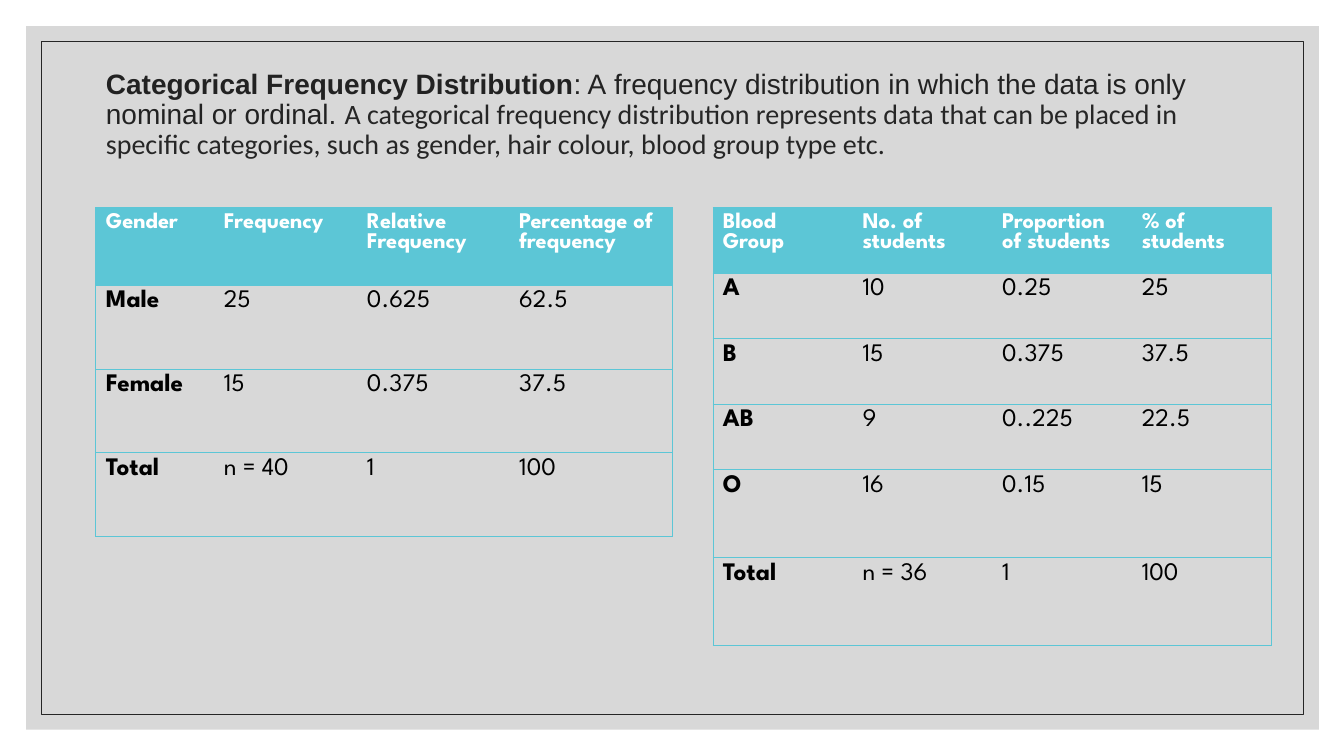
import pptx
import pptx.util
import pptx.dml.color
import pptx.enum.shapes
import pptx.enum.text
import pptx.oxml
import pptx.oxml.ns
from pptx.util import Inches

THEME = {
    "teal": "5CC6D6", "panel": "BFBFBF", "dark": "262626", "ink": "222222",
    "white": "FFFFFF", "black": "000000",
    "lead": 20, "head": 16, "body": 18, "rule": 0.5,
    "sans": "Arial", "text": "Calibri", "grid": "League Spartan",
}
PLAIN = "{2D5ABB26-0587-4C30-8999-92F81FD0307C}"  # table style without grid


def rgb(name):
    return pptx.dml.color.RGBColor.from_string(THEME[name])


def write(para, text, size="body", face="grid", color="black", bold=False):
    run = para.add_run()
    run.text = text
    run.font.size = pptx.util.Pt(THEME[size])
    run.font.name = THEME[face]
    run.font.bold = bold
    run.font.color.rgb = rgb(color)


deck = pptx.Presentation()
deck.slide_width, deck.slide_height = Inches(13.33), Inches(7.5)
slide = deck.slides.add_slide(deck.slide_layouts[5])
title = slide.shapes.title

# Grey panel and thin frame, both behind the title
box = pptx.enum.shapes.MSO_SHAPE.RECTANGLE
panel = slide.shapes.add_shape(
    box, Inches(0.26), Inches(0.26), Inches(12.82), Inches(6.98))
panel.fill.solid()
panel.fill.fore_color.rgb = rgb("panel")
tint = next(panel.element.iter(pptx.oxml.ns.qn("a:srgbClr")))
tint.append(pptx.oxml.parse_xml(
    f'<a:alpha {pptx.oxml.ns.nsdecls("a")} val="60000"/>'))
panel.line.fill.background()

frame = slide.shapes.add_shape(
    box, Inches(0.41), Inches(0.41), Inches(12.52), Inches(6.68))
frame.fill.background()
frame.line.color.rgb = rgb("dark")
frame.line.width = pptx.util.Pt(THEME["rule"])

for shape in (panel, frame):
    shape.shadow.inherit = False
    title.element.addprevious(shape.element)

# Definition
title.left, title.top = Inches(0.95), Inches(0.55)
title.width, title.height = Inches(11.22), Inches(1.19)
area = title.text_frame
area.word_wrap = True
area.auto_size = pptx.enum.text.MSO_AUTO_SIZE.NONE
area.vertical_anchor = pptx.enum.text.MSO_ANCHOR.MIDDLE
para = area.paragraphs[0]
para.alignment = pptx.enum.text.PP_ALIGN.LEFT
para.line_spacing = 0.9
write(para, "Categorical Frequency Distribution",
      size="lead", face="sans", color="ink", bold=True)
write(para, ": A\u00a0frequency distribution\u00a0in which the data is only "
      "nominal or ordinal. ", size="lead", face="sans", color="ink")
write(para, "A categorical frequency distribution represents data that can be "
      "placed in specific categories, such as gender, hair colour, blood "
      "group type etc.", size="lead", face="text", color="dark")

# Frequency tables: left edge, column widths, row heights, rows of text
tables = [
    (0.95, [1.17, 1.42, 1.51, 1.62], [0.77] + [0.83] * 3, [
        ["Gender", "Frequency", "Relative Frequency",
         "Percentage of frequency"],
        ["Male", "25", "0.625", "62.5"],
        ["Female", "15", "0.375", "37.5"],
        ["Total", "n = 40", "1", "100"],
    ]),
    (7.07, [1.385] * 4, [0.65] * 4 + [0.87] * 2, [
        ["Blood Group", "No. of students", "Proportion of students",
         "% of students"],
        ["A", "10", "0.25", "25"],
        ["B", "15", "0.375", "37.5"],
        ["AB", "9", "0..225", "22.5"],
        ["O", "16", "0.15", "15"],
        ["Total", "n = 36", "1", "100"],
    ]),
]
for left, widths, heights, rows in tables:
    holder = slide.shapes.add_table(
        len(rows), len(widths), Inches(left), Inches(2.06),
        Inches(sum(widths)), Inches(sum(heights)))
    next(holder.element.iter(pptx.oxml.ns.qn("a:tableStyleId"))).text = PLAIN
    table = holder.table
    table.horz_banding = False
    for col, width in zip(table.columns, widths):
        col.width = Inches(width)
    for row, height in zip(table.rows, heights):
        row.height = Inches(height)

    for r, row in enumerate(rows):
        for c, text in enumerate(row):
            cell = table.cell(r, c)
            top, first, last = r == 0, c == 0, c == len(row) - 1
            write(cell.text_frame.paragraphs[0], text,
                  size="head" if top else "body",
                  color="white" if top else "black", bold=top or first)

            # Rules between rows and around the table
            props = cell._tc.get_or_add_tcPr()
            for side in "L" * first + "R" * last + "TB":
                props.append(pptx.oxml.parse_xml(
                    f'<a:ln{side} {pptx.oxml.ns.nsdecls("a")} '
                    f'w="{pptx.util.Pt(THEME["rule"])}"><a:solidFill>'
                    f'<a:srgbClr val="{THEME["teal"]}"/></a:solidFill>'
                    f'</a:ln{side}>'))
            if top:
                cell.fill.solid()
                cell.fill.fore_color.rgb = rgb("teal")
            else:
                cell.fill.background()

deck.save("out.pptx")
